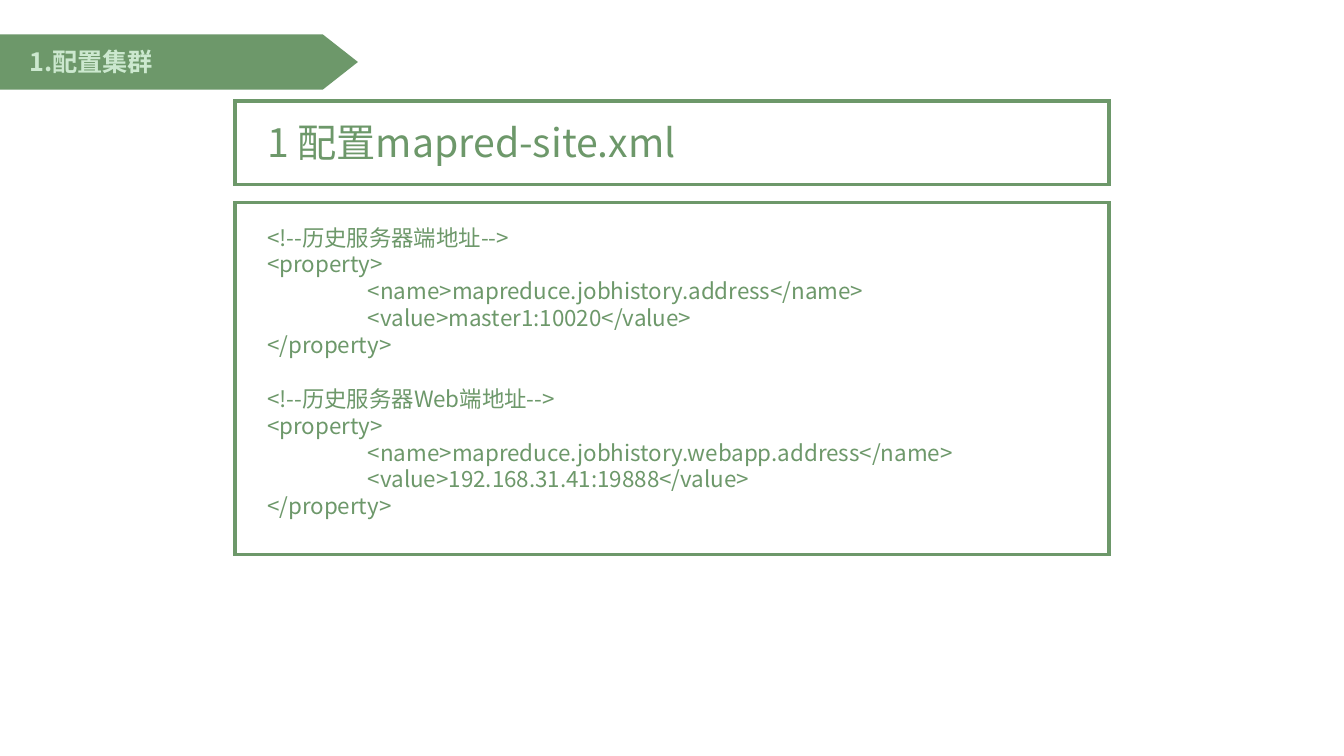
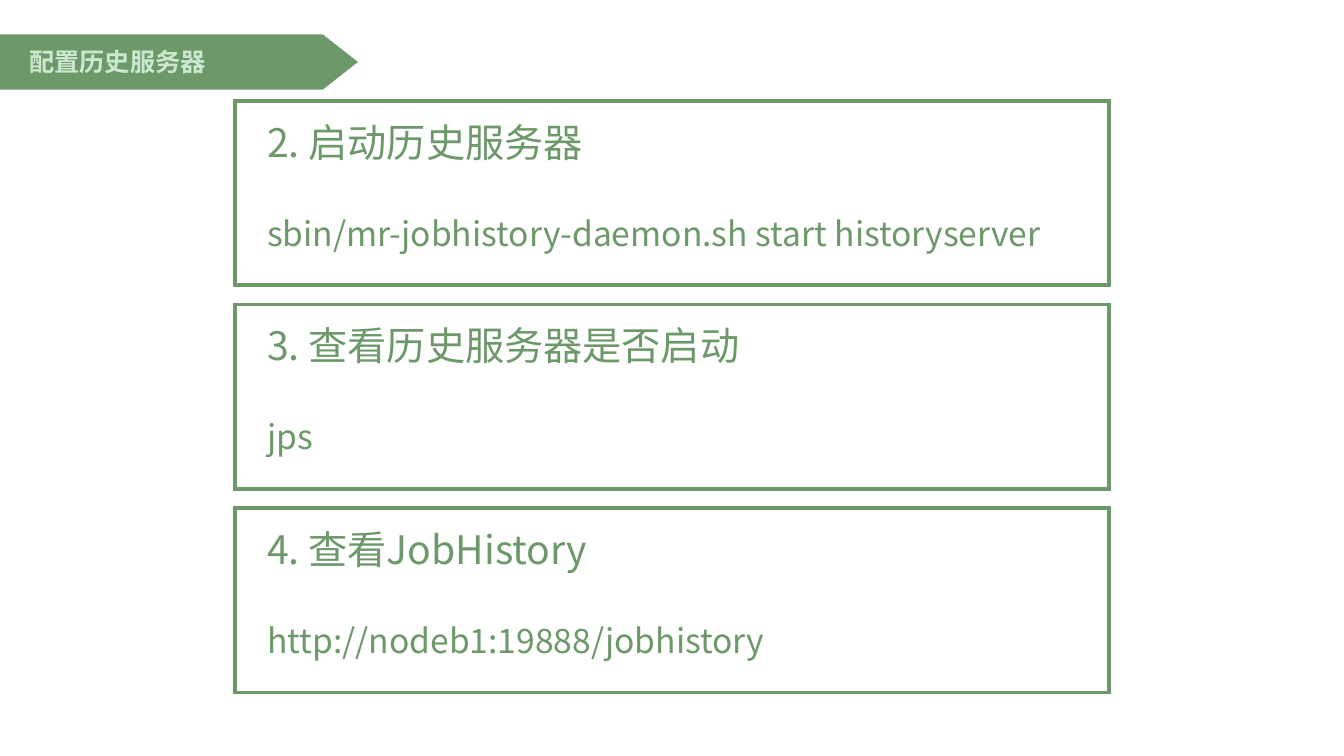
from dataclasses import dataclass

from lxml import etree
from pptx import Presentation
from pptx.dml.color import RGBColor
from pptx.enum.shapes import MSO_SHAPE
from pptx.enum.text import MSO_ANCHOR, MSO_AUTO_SIZE, PP_ALIGN
from pptx.oxml.ns import qn
from pptx.util import Inches, Pt

RECTANGLE = MSO_SHAPE.RECTANGLE
PENTAGON = MSO_SHAPE.PENTAGON
TOP = MSO_ANCHOR.TOP
MIDDLE = MSO_ANCHOR.MIDDLE
LEFT = PP_ALIGN.LEFT
NO_AUTOFIT = MSO_AUTO_SIZE.NONE

FONT = "Noto Sans CJK SC"
GREEN = "6D986A"
PALE_GREEN = "CCE8CF"
TITLE_ONLY = 5

PANEL_LEFT = 2.33
PANEL_WIDTH = 8.67
PANEL_TOP = 1
STEP_HEIGHT = 1.83
STEP_GAP = 0.19


@dataclass(frozen=True)
class Line:
    text: str
    size: int
    indent: float = 0
    before: float = 0


@dataclass(frozen=True)
class Panel:
    top: float
    height: float
    lines: list[Line]
    inset: float = 0.17


def rgb(value: str) -> RGBColor:
    return RGBColor.from_string(value)


def add_run(p, text: str, size: int, color: str, bold: bool = False) -> None:
    r = p.add_run()
    r.text = text
    r.font.name = FONT
    r.font.size = Pt(size)
    r.font.bold = bold
    r.font.color.rgb = rgb(color)
    ea = etree.Element(qn("a:ea"), typeface=FONT)
    r.font._element.find(qn("a:latin")).addnext(ea)


def set_frame(tf, anchor, left: float, top: float, other: float = 0.05) -> None:
    tf.word_wrap = True
    tf.auto_size = NO_AUTOFIT
    tf.vertical_anchor = anchor
    tf.margin_left = Inches(left)
    tf.margin_top = Inches(top)
    tf.margin_right = tf.margin_bottom = Inches(other)


def add_banner(s, text: str) -> None:
    sp = s.shapes.add_shape(PENTAGON, Inches(0), Inches(0.34), Inches(3.55), Inches(0.55))
    sp.adjustments[0] = 0.35 / 0.55
    sp.shadow.inherit = False
    sp.fill.solid()
    sp.fill.fore_color.rgb = rgb(GREEN)
    sp.line.fill.background()

    title = s.shapes.title
    title.left, title.top = Inches(0.24), Inches(0.41)
    title.width, title.height = Inches(2.71), Inches(0.4)
    set_frame(title.text_frame, MIDDLE, 0.05, 0.05)
    p = title.text_frame.paragraphs[0]
    p.alignment = LEFT
    add_run(p, text, 18, PALE_GREEN, True)
    sp.element.addnext(title.element)


def add_panel(s, panel: Panel) -> None:
    sp = s.shapes.add_shape(
        RECTANGLE, Inches(PANEL_LEFT), Inches(panel.top), Inches(PANEL_WIDTH), Inches(panel.height)
    )
    sp.shadow.inherit = False
    sp.fill.background()
    sp.line.color.rgb = rgb(GREEN)
    sp.line.width = Pt(2.5)
    etree.SubElement(sp.element.spPr.find(qn("a:ln")), qn("a:miter"), lim="800000")
    tf = sp.text_frame
    set_frame(tf, TOP, 0.32, panel.inset)
    for i, line in enumerate(panel.lines):
        p = tf.add_paragraph() if i else tf.paragraphs[0]
        p.alignment = LEFT
        p.space_before = Pt(line.before)
        if line.indent:
            p._p.get_or_add_pPr().set("marL", str(Inches(line.indent)))
        add_run(p, line.text, line.size, GREEN)


def property_lines(comment: str, name: str, value: str, before: float = 0) -> list[Line]:
    return [
        Line(f"<!--{comment}-->", 16, before=before),
        Line("<property>", 16),
        Line(f"<name>{name}</name>", 16, indent=1),
        Line(f"<value>{value}</value>", 16, indent=1),
        Line("</property>", 16),
    ]


def add_slide(prs, title: str, panels: list[Panel]) -> None:
    s = prs.slides.add_slide(prs.slide_layouts[TITLE_ONLY])
    add_banner(s, title)
    for panel in panels:
        add_panel(s, panel)


def main() -> None:
    prs = Presentation()
    prs.slide_width, prs.slide_height = Inches(13.33), Inches(7.5)

    code = property_lines("历史服务器端地址", "mapreduce.jobhistory.address", "master1:10020")
    code += property_lines(
        "历史服务器Web端地址", "mapreduce.jobhistory.webapp.address", "192.168.31.41:19888", before=19.2
    )
    add_slide(prs, "1.配置集群", [
        Panel(PANEL_TOP, 0.83, [Line("1 配置mapred-site.xml", 28)]),
        Panel(2.01, 3.49, code, inset=0.21),
    ])

    steps = [
        ("2. 启动历史服务器", "sbin/mr-jobhistory-daemon.sh start historyserver"),
        ("3. 查看历史服务器是否启动", "jps"),
        ("4. 查看JobHistory", "http://nodeb1:19888/jobhistory"),
    ]
    pitch = STEP_HEIGHT + STEP_GAP
    add_slide(prs, "配置历史服务器", [
        Panel(PANEL_TOP + i * pitch, STEP_HEIGHT, [Line(heading, 28), Line(command, 24, before=34)])
        for i, (heading, command) in enumerate(steps)
    ])

    prs.save("out.pptx")


if __name__ == "__main__":
    main()
